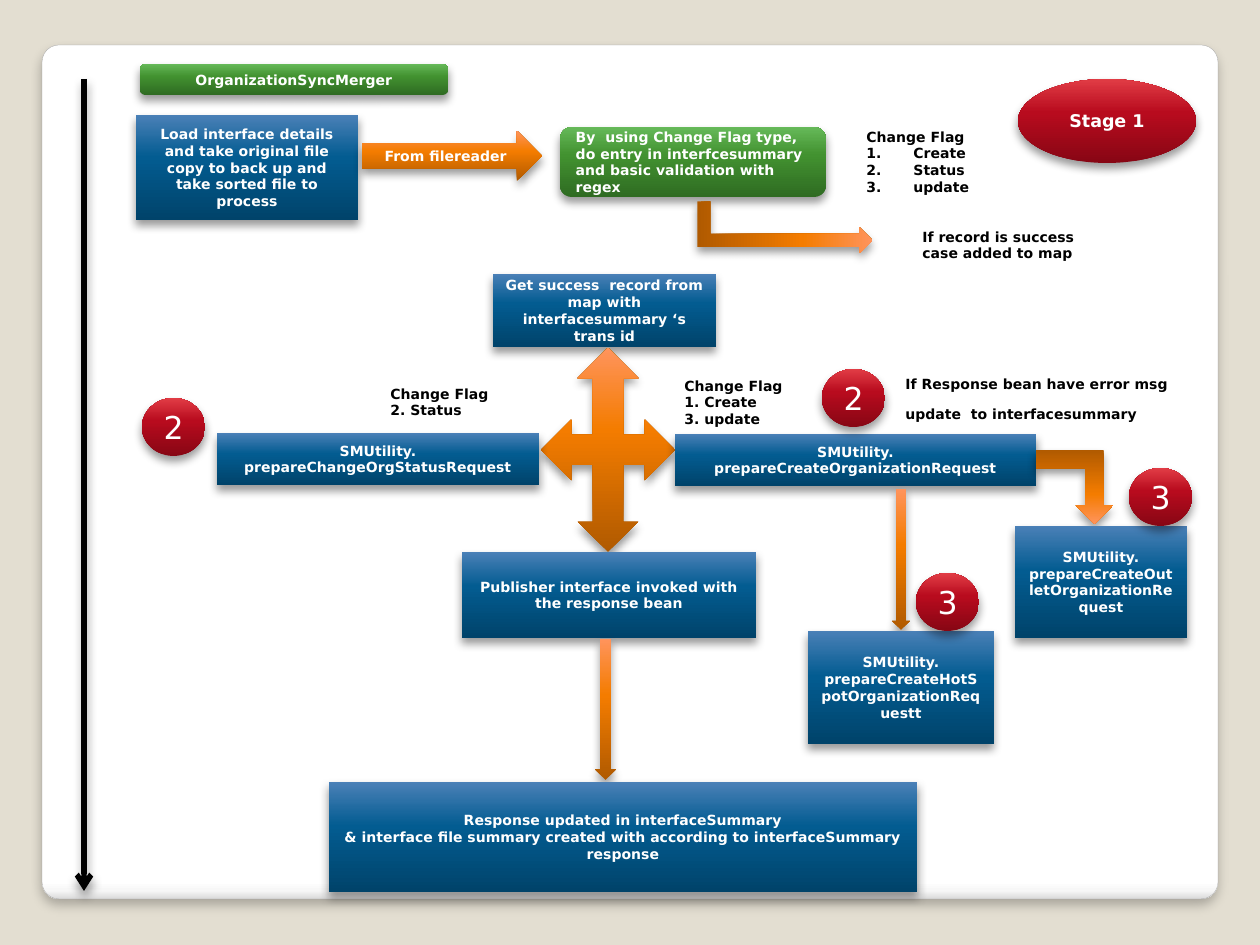
from dataclasses import dataclass

from lxml.etree import SubElement
from pptx import Presentation
from pptx.dml.color import RGBColor
from pptx.enum.shapes import MSO_CONNECTOR as Connector, MSO_SHAPE as Shape
from pptx.enum.text import MSO_ANCHOR as Anchor, PP_ALIGN as Align
from pptx.oxml.ns import qn
from pptx.util import Emu, Pt

EMU_PER_PX = 914400 / 126


def px(length):
    return Emu(round(length * EMU_PER_PX))


@dataclass(frozen=True)
class Theme:
    font: str = "DejaVu Sans"
    body: int = 8
    stage: int = 10
    number: int = 18
    background: str = "E3DED1"
    panel_line: str = "A4A4A4"
    black: str = "000000"
    white: str = "FFFFFF"
    panel: tuple = ((0, "FFFFFF"), (98, "FFFFFF"), (99, "F7F7F7"), (100, "DADADA"))
    green: tuple = ((0, "2F6B22"), (60, "429230"), (100, "66B959"))
    blue: tuple = ((0, "00436A"), (60, "035C91"), (100, "4A80B7"))
    orange: tuple = ((0, "B05A00"), (60, "F47C00"), (100, "FF945C"))
    red: tuple = ((0, "870614"), (60, "B80B1E"), (100, "E13C45"))


class FlowSlide:
    def __init__(self, presentation, theme):
        self.theme = theme
        self.slide = presentation.slides.add_slide(presentation.slide_layouts[6])
        fill = self.slide.background.fill
        fill.solid()
        fill.fore_color.rgb = RGBColor.from_string(theme.background)

    def apply(self, target, values):
        for name, value in values.items():
            setattr(target, name, value)

    def gradient(self, shape, stops, angle):
        shape.fill.gradient()
        shape.fill.gradient_angle = angle
        stop_list = shape._element.spPr.find(f".//{qn('a:gsLst')}")
        for stop in list(stop_list):
            stop_list.remove(stop)
        for position, color in stops:
            stop = SubElement(stop_list, qn("a:gs"), pos=str(position * 1000))
            SubElement(stop, qn("a:srgbClr"), val=color)

    def shadow(self, effects, opacity=40, blur=5.2, distance=3):
        outer = SubElement(effects, qn("a:outerShdw"), blurRad=str(Pt(blur)),
                           dist=str(Pt(distance)), dir="5400000", rotWithShape="0")
        color = SubElement(outer, qn("a:srgbClr"), val=self.theme.black)
        SubElement(color, qn("a:alpha"), val=str(opacity * 1000))

    def add_text(self, shape, lines, color, size=None, bold=True, align=Align.LEFT,
                 anchor=Anchor.TOP, gap=0, numbered_from=None):
        frame = shape.text_frame
        self.apply(frame, {"word_wrap": True, "vertical_anchor": anchor})
        for index, line in enumerate(lines):
            paragraph = frame.paragraphs[0] if index == 0 else frame.add_paragraph()
            self.apply(paragraph, {"alignment": align,
                                   "space_before": Pt(gap if index else 0)})
            run = paragraph.add_run()
            run.text = line
            self.apply(run.font, {"name": self.theme.font, "bold": bold,
                                  "size": Pt(size or self.theme.body)})
            run.font.color.rgb = RGBColor.from_string(color)
            if numbered_from is not None and index >= numbered_from:
                properties = paragraph._p.get_or_add_pPr()
                properties.set("marL", str(px(47)))
                properties.set("indent", str(-px(47)))
                SubElement(properties, qn("a:buFont"), typeface="+mj-lt")
                SubElement(properties, qn("a:buAutoNum"), type="arabicPeriod")

    def block(self, kind, box, stops, *lines, angle=90, shadow=None, **text):
        shape = self.slide.shapes.add_shape(kind, *map(px, box))
        self.gradient(shape, stops, angle)
        shape.line.fill.background()
        shape.shadow.inherit = False
        self.shadow(shape._element.spPr.find(qn("a:effectLst")), **(shadow or {}))
        if lines:
            style = {"align": Align.CENTER, "anchor": Anchor.MIDDLE, **text}
            self.add_text(shape, lines, self.theme.white, **style)
        return shape

    def panel(self, box):
        shape = self.block(Shape.ROUNDED_RECTANGLE, box, self.theme.panel, angle=270,
                           shadow={"opacity": 25, "blur": 6, "distance": 4})
        shape.adjustments[0] = 0.02
        shape.line.color.rgb = RGBColor.from_string(self.theme.panel_line)
        shape.line.width = Pt(0.16)

    def step(self, box, *lines):
        return self.block(Shape.RECTANGLE, box, self.theme.blue, *lines)

    def green_box(self, box, line, **text):
        return self.block(Shape.ROUNDED_RECTANGLE, box, self.theme.green, line, **text)

    def arrow(self, kind, box, *lines):
        return self.block(kind, box, self.theme.orange, *lines)

    def badge(self, left, top, number):
        self.block(Shape.OVAL, (left, top, 63, 58), self.theme.red, number,
                   size=self.theme.number, bold=False)

    def note(self, box, *lines, **text):
        shape = self.slide.shapes.add_textbox(*map(px, box))
        self.add_text(shape, lines, self.theme.black, **text)

    def timeline(self, x, top, bottom):
        connector = self.slide.shapes.add_connector(
            Connector.STRAIGHT, *map(px, (x, top, x, bottom)))
        connector.line.color.rgb = RGBColor.from_string(self.theme.black)
        connector.line.width = Pt(3)
        properties = connector._element.spPr
        SubElement(properties.find(qn("a:ln")), qn("a:tailEnd"), type="arrow")
        self.shadow(SubElement(properties, qn("a:effectLst")))


def main():
    presentation = Presentation()
    theme = Theme()
    presentation.slide_width = px(1260)
    presentation.slide_height = px(945)
    flow = FlowSlide(presentation, theme)

    flow.panel((42, 45, 1176, 854))
    flow.green_box((140, 64, 308, 31), "OrganizationSyncMerger")
    flow.timeline(84, 79, 891)
    flow.step((136, 115, 222, 105), "Load interface details and take original file "
              "copy to back up and take sorted file to process")
    flow.arrow(Shape.RIGHT_ARROW, (362, 131, 180, 50), "From filereader")
    flow.green_box((560, 127, 266, 70), "By  using Change Flag type, do entry in "
                   "interfcesummary and basic validation with regex", align=Align.LEFT)
    flow.note((854, 122, 168, 81), "Change Flag", "Create", "Status", "update",
              numbered_from=1)
    flow.arrow(Shape.BENT_UP_ARROW, (759, 140, 52, 175)).rotation = 90
    flow.note((910, 222, 210, 47), "If record is success case added to map")

    flow.step((493, 274, 223, 73),
              "Get success  record from map with interfacesummary ‘s trans id")
    flow.arrow(Shape.QUAD_ARROW, (541, 348, 134, 204))
    flow.note((378, 379, 168, 63), "Change Flag", "2. Status")
    flow.note((672, 371, 168, 63), "Change Flag", "1. Create", "3. update")
    flow.step((217, 433, 322, 52), "SMUtility. prepareChangeOrgStatusRequest")
    flow.step((675, 434, 361, 52), "SMUtility. prepareCreateOrganizationRequest")
    flow.step((462, 552, 294, 86), "Publisher interface invoked with the response bean")
    flow.note((893, 369, 294, 63), "If Response bean have error msg",
              "update  to interfacesummary", gap=8)
    flow.arrow(Shape.DOWN_ARROW, (595, 639, 21, 141))
    flow.step((329, 782, 588, 110), "Response updated in interfaceSummary",
              "& interface file summary created with according to "
              "interfaceSummary response")

    bent_arrow = flow.arrow(Shape.BENT_UP_ARROW, (1036, 450, 77, 74))
    bent_arrow._element.spPr.find(qn("a:xfrm")).set("flipV", "1")
    flow.step((1015, 526, 172, 112), "SMUtility. prepareCreateOutletOrganizationRequest")
    flow.arrow(Shape.DOWN_ARROW, (892, 489, 18, 141))
    flow.step((808, 631, 186, 113), "SMUtility. prepareCreateHotSpotOrganizationRequestt")

    flow.block(Shape.OVAL, (1018, 79, 178, 84), theme.red, "Stage 1", size=theme.stage)
    for left, top, number in ((142, 398, "2"), (822, 369, "2"),
                              (1129, 468, "3"), (916, 573, "3")):
        flow.badge(left, top, number)

    presentation.save("out.pptx")


if __name__ == "__main__":
    main()
